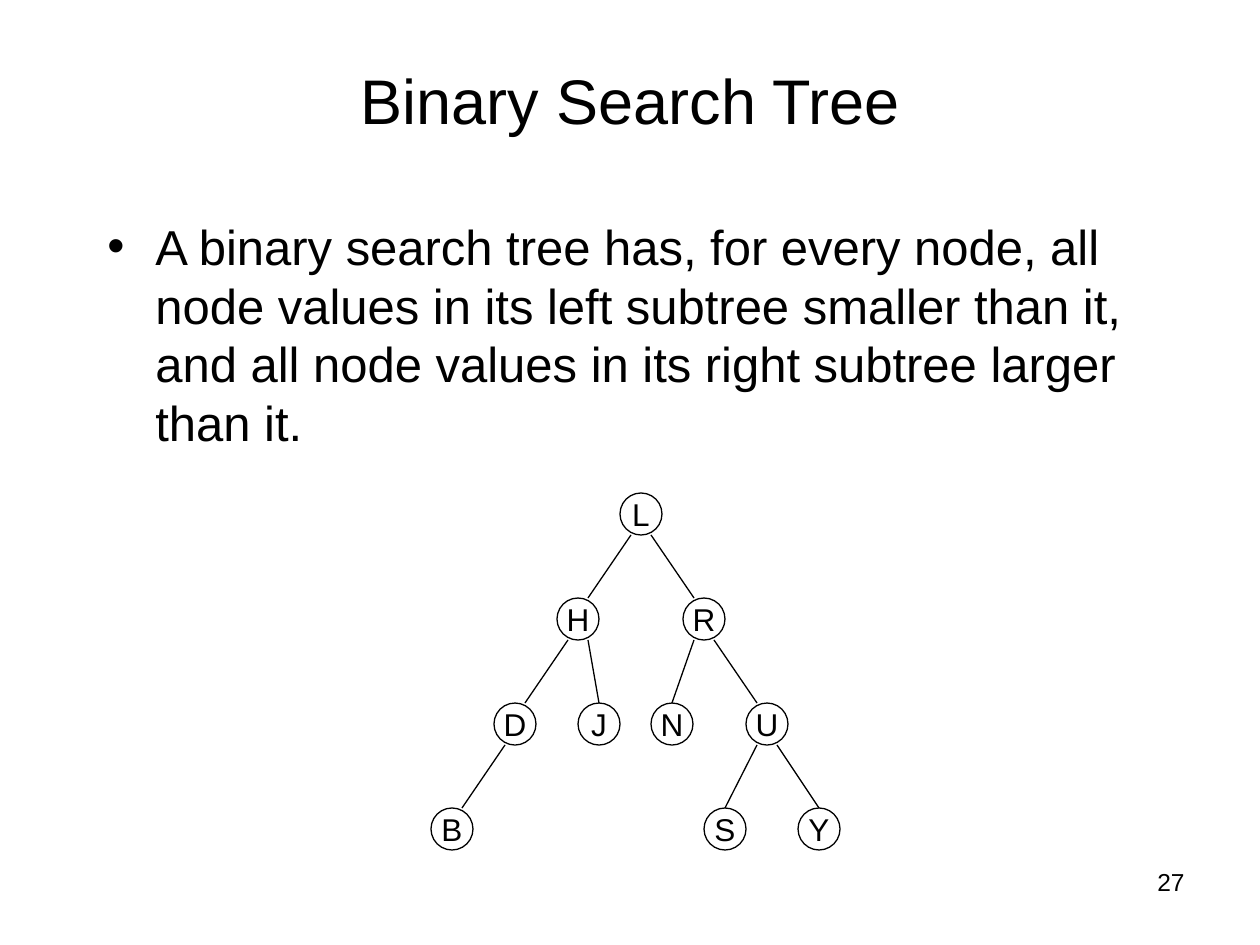
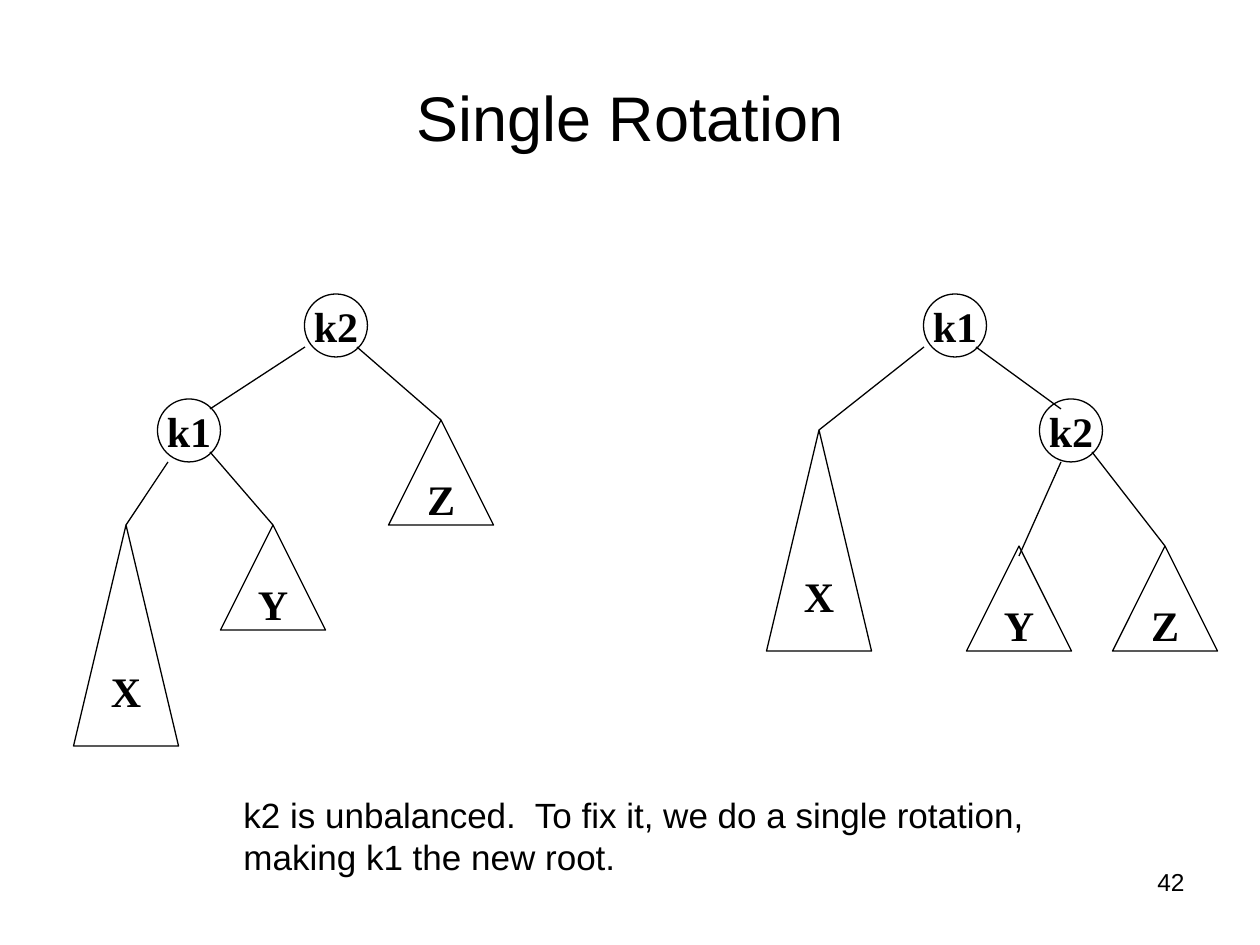
from lxml import etree
from pptx import Presentation
from pptx.dml.color import RGBColor
from pptx.enum.shapes import MSO_CONNECTOR, MSO_SHAPE
from pptx.enum.text import MSO_ANCHOR, MSO_AUTO_SIZE, PP_ALIGN
from pptx.oxml.ns import qn
from pptx.util import Pt

EMU_PER_PX = 914400 / 126
BLACK = RGBColor(0, 0, 0)
SANS, SERIF = "Arial", "Times New Roman"
ELLIPSE, TRIANGLE = MSO_SHAPE.OVAL, MSO_SHAPE.ISOSCELES_TRIANGLE
STRAIGHT = MSO_CONNECTOR.STRAIGHT
LEFT, CENTER, RIGHT = PP_ALIGN.LEFT, PP_ALIGN.CENTER, PP_ALIGN.RIGHT
MIDDLE = MSO_ANCHOR.MIDDLE
NO_AUTOFIT = MSO_AUTO_SIZE.NONE
TITLE_ONLY = 5
LINE_WIDTH = Pt(0.75)
BULLET_INDENT = 48

# Search tree: letter -> (centre x, level)
LETTER_SIZE, LEVEL_TOP, LEVEL_STEP, EDGE_INSET = 42, 493, 105, 10
LETTERS = {
    "L": (641, 0), "H": (578, 1), "R": (704, 1),
    "D": (515, 2), "J": (599, 2), "N": (672, 2), "U": (767, 2),
    "B": (452, 3), "S": (725, 3), "Y": (819, 3),
}
# Parent, child, sideways shift of the end on the child
LETTER_EDGES = [
    ("L", "H", EDGE_INSET), ("H", "D", EDGE_INSET), ("D", "B", EDGE_INSET),
    ("L", "R", -EDGE_INSET), ("R", "U", -EDGE_INSET), ("U", "Y", 0),
    ("H", "J", 0), ("R", "N", 0), ("U", "S", 0),
]

# Rotation trees: key or subtree -> (centre x, top)
KEY_SIZE, SUBTREE_WIDTH = 63, 105
SUBTREE_HEIGHTS = {"X": 221, "Y": 105, "Z": 105}
BEFORE = {"k2": (336, 294), "k1": (189, 399), "X": (126, 525),
          "Y": (273, 525), "Z": (441, 420)}
AFTER = {"k1": (955, 294), "k2": (1071, 399), "X": (819, 430),
         "Y": (1019, 546), "Z": (1165, 546)}
# Parent, child, start and end shifts from the top centre of each
ROOT_LEFT, ROOT_RIGHT, INNER_RIGHT = (-31, 53), (21, 53), (21, 53)
APEX = (0, 0)
BEFORE_EDGES = [
    ("k2", "k1", ROOT_LEFT, (21, 10)), ("k2", "Z", ROOT_RIGHT, APEX),
    ("k1", "X", (-21, 63), APEX), ("k1", "Y", INNER_RIGHT, APEX),
]
AFTER_EDGES = [
    ("k1", "X", ROOT_LEFT, APEX), ("k1", "k2", ROOT_RIGHT, (-10, 10)),
    ("k2", "Y", (-10, 63), (0, 10)), ("k2", "Z", INNER_RIGHT, APEX),
]


def px(*lengths):
    return [round(length * EMU_PER_PX) for length in lengths]


def add_bullet(paragraph):
    properties = paragraph._p.get_or_add_pPr()
    indent = px(BULLET_INDENT)[0]
    properties.set("marL", str(indent))
    properties.set("indent", str(-indent))
    etree.SubElement(properties, qn("a:buFont")).set("typeface", SANS)
    etree.SubElement(properties, qn("a:buChar")).set("char", "•")


def write(frame, text, size, align=LEFT, font=SANS, bold=False, bullet=False):
    frame.text = text
    paragraph = frame.paragraphs[0]
    if bullet:
        add_bullet(paragraph)
    paragraph.alignment = align
    paragraph.font.size = Pt(size)
    paragraph.font.name = font
    paragraph.font.bold = bold
    paragraph.font.color.rgb = BLACK


def add_text(slide, box, text, size, align=LEFT, bullet=False):
    frame = slide.shapes.add_textbox(*px(*box)).text_frame
    frame.word_wrap = True
    write(frame, text, size, align, bullet=bullet)


def add_node(shapes, kind, center_x, top, width, height, label, size, font=SANS, bold=False):
    node = shapes.add_shape(kind, *px(center_x - width / 2, top, width, height))
    node.shadow.inherit = False
    node.fill.background()
    node.line.color.rgb = BLACK
    node.line.width = LINE_WIDTH
    frame = node.text_frame
    frame.word_wrap = False
    frame.vertical_anchor = MIDDLE
    frame.margin_left = frame.margin_right = frame.margin_top = frame.margin_bottom = 0
    write(frame, label, size, CENTER, font, bold)


def add_edge(shapes, start, end):
    edge = shapes.add_connector(STRAIGHT, *px(*start, *end))
    edge.line.color.rgb = BLACK
    edge.line.width = LINE_WIDTH
    etree.SubElement(edge._element.spPr, qn("a:effectLst"))


def add_slide(deck, title, title_box, number):
    slide = deck.slides.add_slide(deck.slide_layouts[TITLE_ONLY])
    heading = slide.shapes.title
    heading.left, heading.top, heading.width, heading.height = px(*title_box)
    heading.text_frame.auto_size = NO_AUTOFIT
    heading.text_frame.vertical_anchor = MIDDLE
    write(heading.text_frame, title, 36, CENTER)
    add_text(slide, (903, 861, 294, 66), number, 14, RIGHT)
    return slide


def draw_search_tree(slide):
    shapes = slide.shapes.add_group_shape().shapes
    tops = {letter: LEVEL_TOP + level * LEVEL_STEP for letter, (_, level) in LETTERS.items()}
    for letter, (x, _) in LETTERS.items():
        add_node(shapes, ELLIPSE, x, tops[letter], LETTER_SIZE, LETTER_SIZE, letter, 18)
    for parent, child, shift in LETTER_EDGES:
        parent_x, child_x = LETTERS[parent][0], LETTERS[child][0]
        side = EDGE_INSET if child_x > parent_x else -EDGE_INSET
        add_edge(shapes, (parent_x + side, tops[parent] + LETTER_SIZE),
                 (child_x + shift, tops[child]))


def draw_rotation_tree(slide, places, edges):
    for label, (x, top) in places.items():
        if label in SUBTREE_HEIGHTS:
            kind, width, height = TRIANGLE, SUBTREE_WIDTH, SUBTREE_HEIGHTS[label]
        else:
            kind, width, height = ELLIPSE, KEY_SIZE, KEY_SIZE
        add_node(slide.shapes, kind, x, top, width, height, label, 24, SERIF, True)
    for parent, child, start_shift, end_shift in edges:
        start = [a + b for a, b in zip(places[parent], start_shift)]
        end = [a + b for a, b in zip(places[child], end_shift)]
        add_edge(slide.shapes, start, end)


def main():
    deck = Presentation()
    deck.slide_width, deck.slide_height = px(1260, 945)

    search = add_slide(deck, "Binary Search Tree", (95, 31, 1071, 136), "27")
    add_text(search, (95, 210, 1071, 284),
             "A binary search tree has, for every node, all node values in its left "
             "subtree smaller than it, and all node values in its right subtree "
             "larger than it.", 28, bullet=True)
    draw_search_tree(search)

    rotation = add_slide(deck, "Single Rotation", (63, 37, 1134, 158), "42")
    draw_rotation_tree(rotation, BEFORE, BEFORE_EDGES)
    draw_rotation_tree(rotation, AFTER, AFTER_EDGES)
    add_text(rotation, (231, 787, 809, 97),
             "k2 is unbalanced.  To fix it, we do a single rotation, "
             "making k1 the new root.", 20)

    deck.save("out.pptx")


if __name__ == "__main__":
    main()
